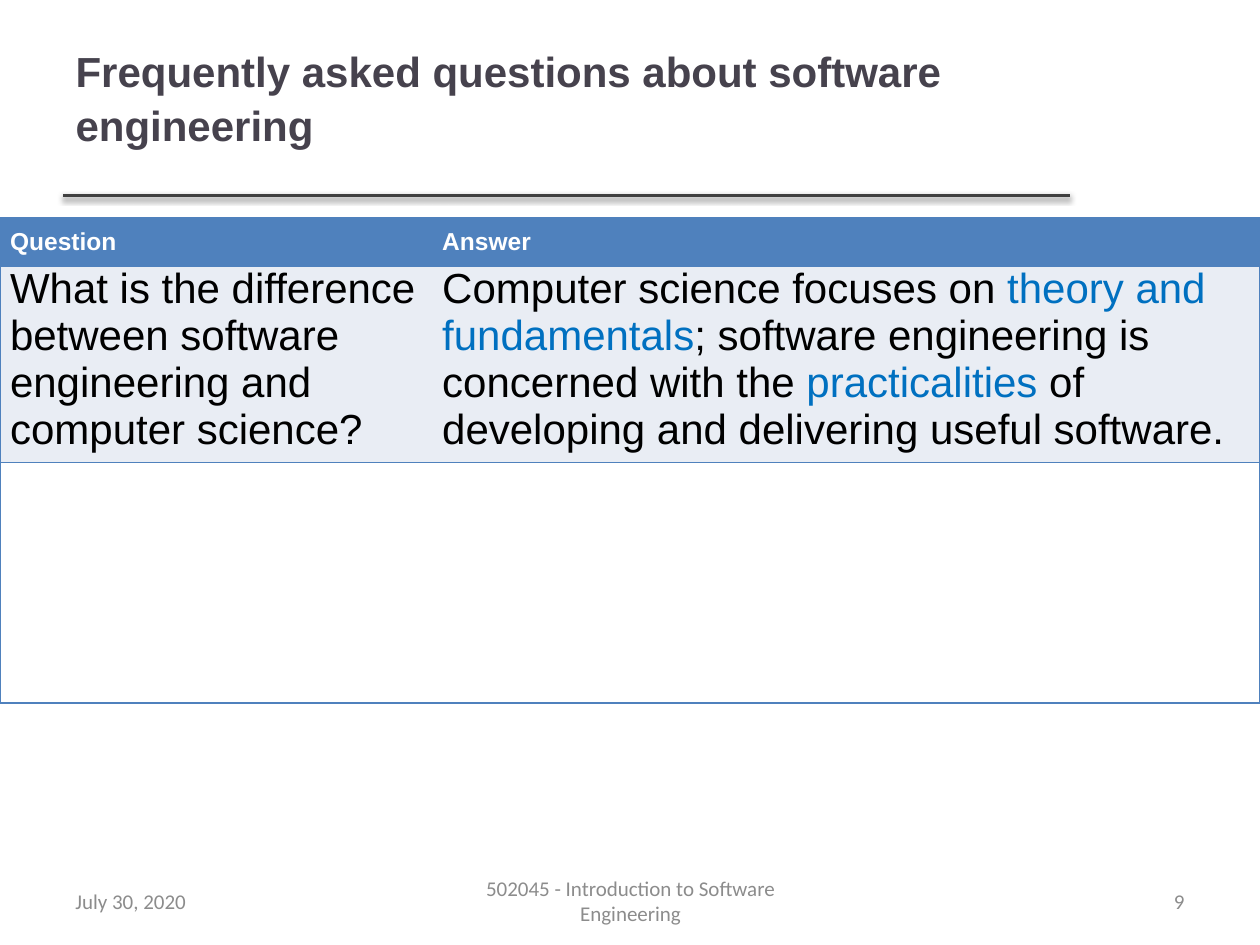
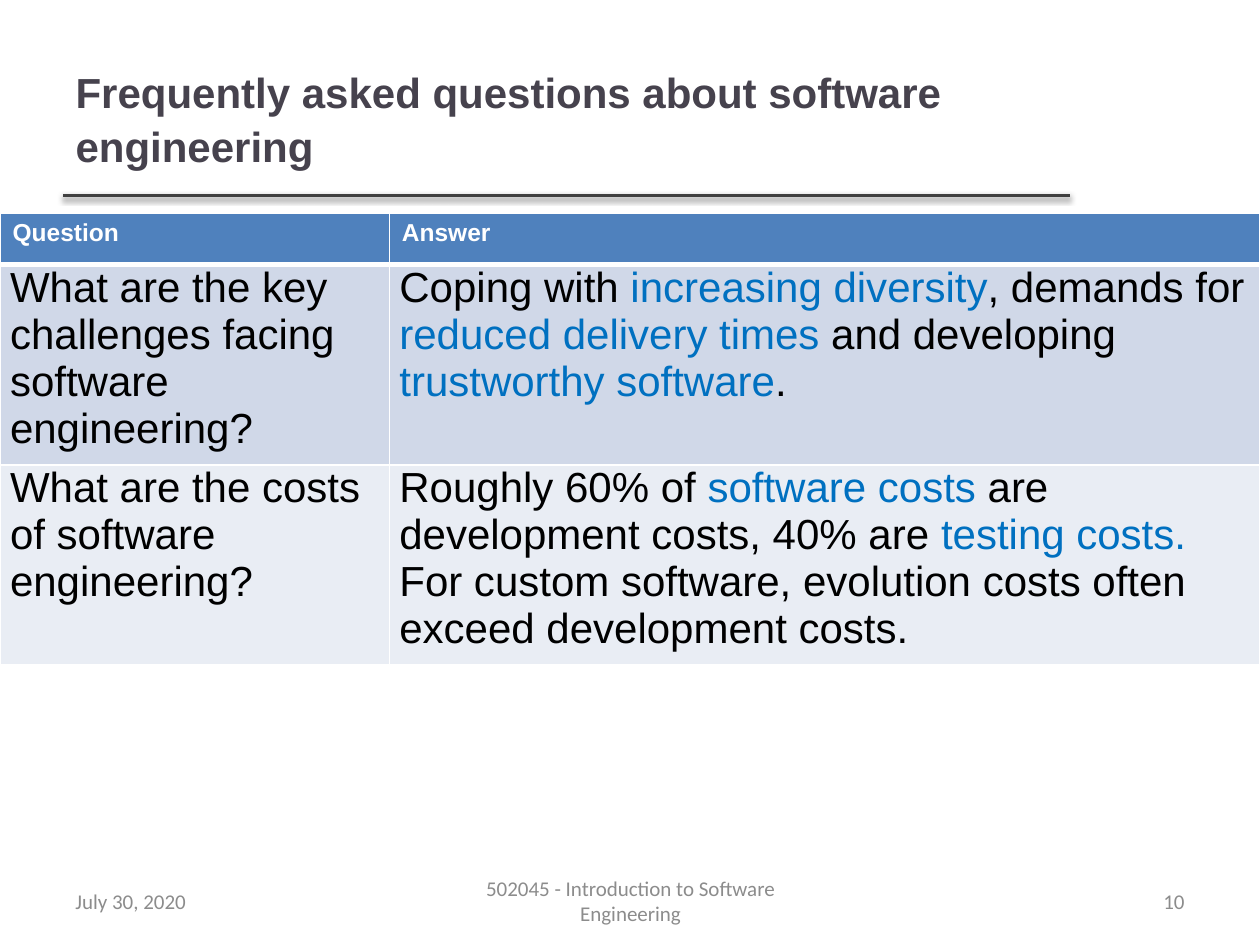
from dataclasses import dataclass

from lxml import etree
from pptx import Presentation
from pptx.dml.color import RGBColor
from pptx.enum.shapes import MSO_CONNECTOR as Connector
from pptx.enum.text import MSO_ANCHOR as Anchor, PP_ALIGN as Align
from pptx.oxml.ns import qn
from pptx.util import Inches, Pt


@dataclass(frozen=True)
class Theme:
    heading_font: str = "Arial"
    footer_font: str = "Calibri"
    title_size: int = 24
    header_size: int = 14
    body_size: int = 24
    footer_size: int = 12
    title: str = "46424D"
    rule: str = "404040"
    footer: str = "8C8C8C"
    header_fill: str = "4F81BD"
    dark_band: str = "D0D8E8"
    light_band: str = "E9EDF4"
    white: str = "FFFFFF"
    black: str = "000000"
    accent: str = "0070C0"


THEME = Theme()
TITLE = "Frequently asked questions about software engineering"
COURSE = "502045 - Introduction to Software Engineering"
DATE = "July 30, 2020"
HEADER = ("Question", "Answer")
TITLE_ONLY = 5
BODY_INSETS = (0.08, 0, 0.08, 0.07)


def style_span(span, font, size, color, bold=False):
    span.font.name = font
    span.font.size = Pt(size)
    span.font.bold = bold
    span.font.color.rgb = RGBColor.from_string(color)


def add_title(page, box, bottom_inset):
    title = page.shapes.title
    title.left, title.top, title.width, title.height = map(Inches, box)
    frame = title.text_frame
    frame.text = TITLE
    frame.word_wrap = True
    frame.vertical_anchor = Anchor.MIDDLE
    frame.margin_bottom = Inches(bottom_inset)
    para = frame.paragraphs[0]
    para.alignment = Align.LEFT
    para.line_spacing = 1.07
    style_span(para.runs[0], THEME.heading_font, THEME.title_size, THEME.title, True)


def add_rule(page, left, top, width):
    start, end, level = Inches(left), Inches(left + width), Inches(top)
    rule = page.shapes.add_connector(Connector.STRAIGHT, start, level, end, level)
    rule.line.color.rgb = RGBColor.from_string(THEME.rule)
    rule.line.width = Pt(2)
    effects = etree.SubElement(rule._element.spPr, qn("a:effectLst"))
    shadow = etree.SubElement(effects, qn("a:outerShdw"), blurRad=str(Pt(3.1)),
                              dist=str(Pt(1.6)), dir="5400000", rotWithShape="0")
    color = etree.SubElement(shadow, qn("a:srgbClr"), val=THEME.black)
    etree.SubElement(color, qn("a:alpha"), val="38000")


def add_footer(page, number, top=6.95, height=0.4):
    parts = (
        (DATE, 0.5, 2.33, Align.LEFT),
        (COURSE, 3.42, 3.17, Align.CENTER),
        (str(number), 7.17, 2.33, Align.RIGHT),
    )
    for text, left, width, alignment in parts:
        box = page.shapes.add_textbox(*map(Inches, (left, top, width, height)))
        frame = box.text_frame
        frame.word_wrap = True
        frame.vertical_anchor = Anchor.MIDDLE
        frame.text = text
        para = frame.paragraphs[0]
        para.alignment = alignment
        style_span(para.runs[0], THEME.footer_font, THEME.footer_size, THEME.footer)


def set_borders(cell, borders):
    properties = cell._tc.get_or_add_tcPr()
    for index, side in enumerate("LRTB"):
        color, width = borders.get(side, (None, 0))
        line = etree.Element(qn(f"a:ln{side}"), w=str(Pt(width)))
        if color:
            fill = etree.SubElement(line, qn("a:solidFill"))
            etree.SubElement(fill, qn("a:srgbClr"), val=color)
        else:
            etree.SubElement(line, qn("a:noFill"))
        properties.insert(index, line)


def outlined_borders(row, column):
    outer_side = "L" if column == 0 else "R"
    return {side: (THEME.header_fill, 1) for side in ("T", "B", outer_side)}


def gridded_borders(row, column):
    borders = {side: (THEME.white, 1) for side in "LRTB"}
    if row < 2:
        borders["B" if row == 0 else "T"] = (THEME.white, 3)
    return borders


def fill_cell(cell, text, is_header, insets, alignment):
    cell.margin_left, cell.margin_top, cell.margin_right, cell.margin_bottom = map(Inches, insets)
    para = cell.text_frame.paragraphs[0]
    para.alignment = alignment
    for index, piece in enumerate(text.split("*")):
        if not piece:
            continue
        span = para.add_run()
        span.text = piece
        if is_header:
            style_span(span, THEME.heading_font, THEME.header_size, THEME.white, True)
        else:
            color = THEME.accent if index % 2 else THEME.black
            style_span(span, THEME.heading_font, THEME.body_size, color)


def add_faq_table(page, top, widths, heights, faqs, bands, borders_for,
                  header_insets, header_alignment):
    rows = [HEADER, *faqs]
    box = (0, top, sum(widths), sum(heights))
    table = page.shapes.add_table(len(rows), len(widths), *map(Inches, box)).table
    for column, width in zip(table.columns, widths):
        column.width = Inches(width)
    for row, height in zip(table.rows, heights):
        row.height = Inches(height)
    for r, (texts, band) in enumerate(zip(rows, (THEME.header_fill, *bands))):
        is_header = r == 0
        insets = header_insets if is_header else BODY_INSETS
        alignment = header_alignment if is_header else Align.LEFT
        for c, text in enumerate(texts):
            cell = table.cell(r, c)
            fill_cell(cell, text, is_header, insets, alignment)
            cell.fill.solid()
            cell.fill.fore_color.rgb = RGBColor.from_string(band)
            set_borders(cell, borders_for(r, c))


def add_faq_page(deck, number, title_box, title_inset, **table):
    page = deck.slides.add_slide(deck.slide_layouts[TITLE_ONLY])
    add_title(page, title_box, title_inset)
    add_rule(page, 0.5, 1.55, 7.99)
    add_faq_table(page, **table)
    add_footer(page, number)


def main():
    deck = Presentation()
    deck.slide_width, deck.slide_height = Inches(10), Inches(7.5)
    add_faq_page(
        deck, 9, (0.5, 0.3, 8.41, 1.29), 0.42,
        top=1.73, widths=(3.43, 6.57), heights=(0.38, 1.56, 1.91),
        faqs=[
            ("What is the difference between software engineering and computer science?",
             "Computer science focuses on *theory and fundamentals*; software engineering is "
             "concerned with the *practicalities* of developing and delivering useful software."),
            ("", ""),
        ],
        bands=(THEME.light_band, THEME.white), borders_for=outlined_borders,
        header_insets=(0.08,) * 4, header_alignment=Align.JUSTIFY,
    )
    add_faq_page(
        deck, 10, (0.5, 0.3, 7.98, 1.25), 0.05,
        top=1.69, widths=(3.09, 6.91), heights=(0.41, 1.59, 1.59),
        faqs=[
            ("What are the key challenges facing software engineering?",
             "Coping with *increasing diversity*, demands for *reduced delivery times* "
             "and developing *trustworthy software*."),
            ("What are the costs of software engineering?",
             "Roughly 60% of *software costs* are development costs, 40% are *testing costs. *"
             "For custom software, evolution costs often exceed development costs."),
        ],
        bands=(THEME.dark_band, THEME.light_band), borders_for=gridded_borders,
        header_insets=(0.1, 0.05, 0.1, 0.05), header_alignment=Align.LEFT,
    )
    deck.save("out.pptx")


if __name__ == "__main__":
    main()
